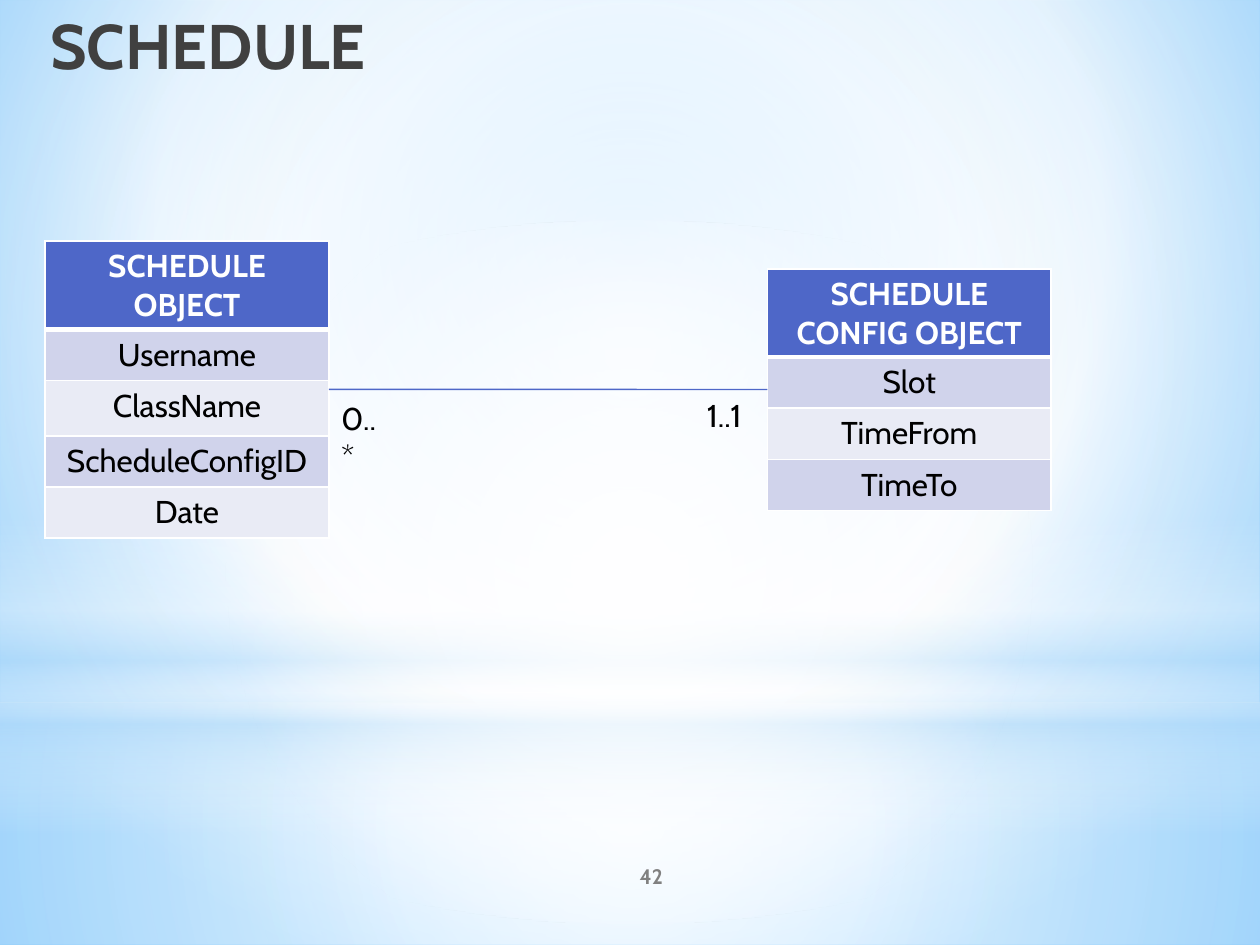
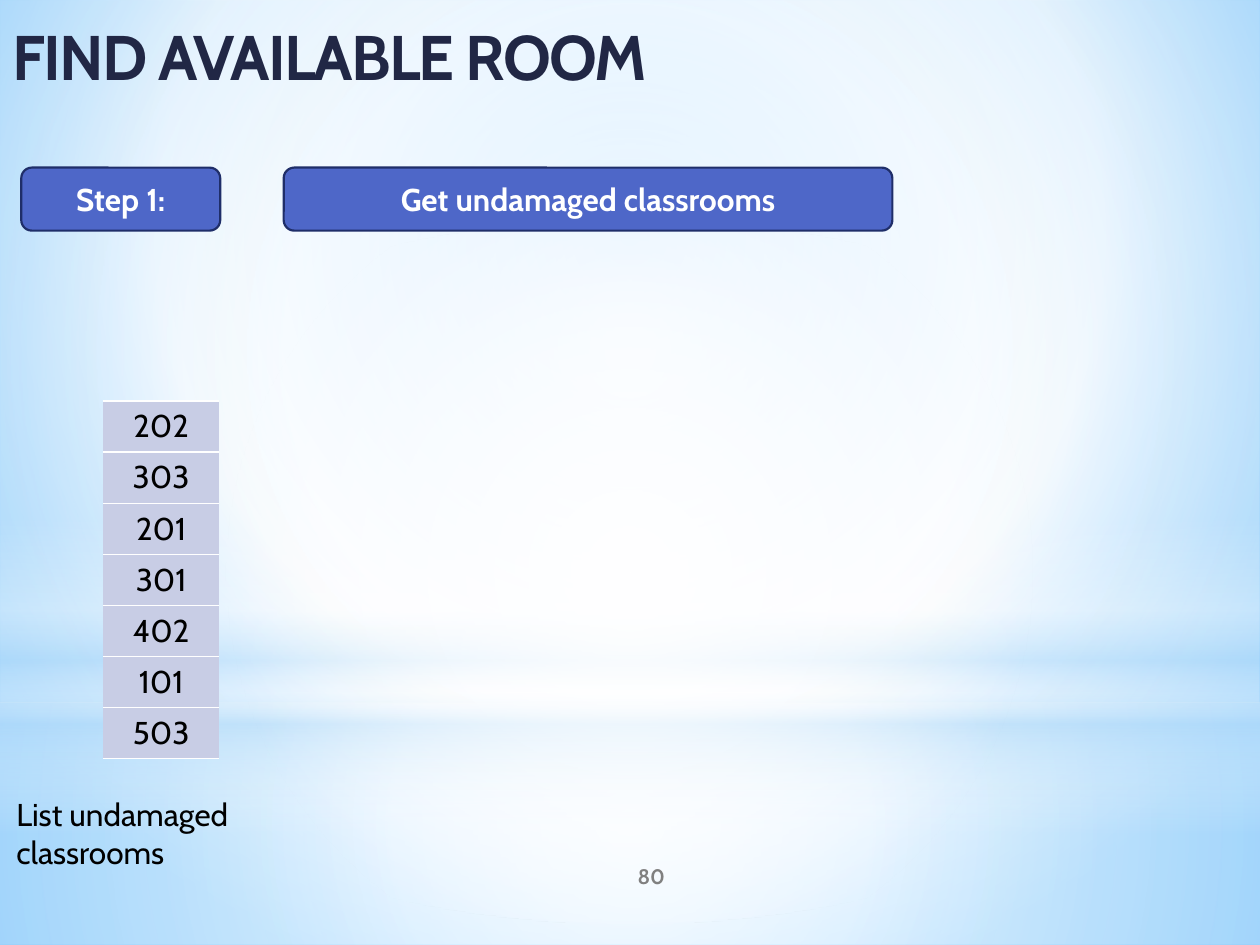
from lxml import etree
from pptx import Presentation
from pptx.dml.color import RGBColor
from pptx.enum.shapes import MSO_CONNECTOR, MSO_SHAPE
from pptx.enum.text import MSO_ANCHOR, PP_ALIGN
from pptx.oxml import parse_xml
from pptx.oxml.ns import qn
from pptx.util import Cm, Pt

RECT, OVAL, ROUND = MSO_SHAPE.RECTANGLE, MSO_SHAPE.OVAL, MSO_SHAPE.ROUNDED_RECTANGLE
LEFT, MID, RIGHT = PP_ALIGN.LEFT, PP_ALIGN.CENTER, PP_ALIGN.RIGHT
TOP, MIDDLE = MSO_ANCHOR.TOP, MSO_ANCHOR.MIDDLE

BLUE = RGBColor(0x4E, 0x67, 0xC8)
EDGE = RGBColor(0x1F, 0x2E, 0x69)
NAVY = RGBColor(0x21, 0x27, 0x45)
DARK = RGBColor(0x40, 0x40, 0x40)
GREY = RGBColor(0x80, 0x80, 0x80)
BLACK = RGBColor(0, 0, 0)
WHITE = RGBColor(0xFF, 0xFF, 0xFF)
BAND = RGBColor(0xD0, 0xD3, 0xEB)
PALE = RGBColor(0xE9, 0xEB, 0xF5)
LILAC = RGBColor(0xC8, 0xCD, 0xE5)
SKY = RGBColor(0xB4, 0xDC, 0xFA)
AZURE = RGBColor(0x9E, 0xD5, 0xFF)
DEEP = RGBColor(0x5B, 0xB9, 0xFF)

BODY = {"size": Pt(18), "name": "Cabin", "bold": False}
STRONG = {**BODY, "bold": True}
TITLE = {**STRONG, "size": Pt(36)}
SMALL = {**STRONG, "size": Pt(12)}
NS = 'xmlns:a="http://schemas.openxmlformats.org/drawingml/2006/main"'


def write(frame, words, look, tint, align=LEFT, anchor=TOP, wrap=True):
    """Put one formatted line of text into a text frame."""
    frame.word_wrap = wrap
    frame.vertical_anchor = anchor
    para = frame.paragraphs[0]
    para.alignment = align
    run = para.add_run()
    run.text = words
    for key, value in look.items():
        setattr(run.font, key, value)
    run.font.color.rgb = tint
    return run


def blend(old, stops, focus=None):
    """Swap a fill element for a gradient: radial with a focus, else downward."""
    marks = "".join(
        f'<a:gs pos="{pos * 1000}"><a:srgbClr val="{tint}">'
        f'<a:alpha val="{alpha * 1000}"/></a:srgbClr></a:gs>'
        for pos, tint, alpha in stops)
    way = '<a:lin ang="5400000" scaled="0"/>'
    if focus:
        edges = " ".join(f'{side}="{part * 1000}"' for side, part in zip("ltrb", focus))
        way = f'<a:path path="circle"><a:fillToRect {edges}/></a:path>'
    fill = parse_xml(f'<a:gradFill {NS} rotWithShape="1"><a:gsLst>{marks}</a:gsLst>{way}</a:gradFill>')
    old.getparent().replace(old, fill)


deck = Presentation()
deck.slide_width, deck.slide_height = Cm(25.4), Cm(19.05)
blank = deck.slide_layouts[6]
plan = deck.slides.add_slide(blank)
rooms = deck.slides.add_slide(blank)

# Shared backdrop, moved into the layout
back = blank.background.fill
back.solid()
blend(blank.element.find(".//" + qn("p:bgPr")).find(qn("a:solidFill")),
      [(0, AZURE, 100), (60, WHITE, 100), (100, DEEP, 100)], (20, 10, 20, 60))
core = (50, 50, 50, 50)
layers = [
    (RECT, 14.17, 4.88, [(0, WHITE, 91), (37, WHITE, 76), (100, SKY, 79)], core),
    (RECT, 0, 14.17, [(0, WHITE, 89), (48, WHITE, 62), (100, SKY, 79)], core),
    (RECT, 10.46, 6.35, [(0, WHITE, 0), (29, WHITE, 30), (45, SKY, 40),
                         (55, WHITE, 26), (65, SKY, 60), (100, WHITE, 0)], None),
    (OVAL, 4.45, 14.17, [(0, WHITE, 100), (56, WHITE, 0)], core),
]
for kind, top, high, stops, focus in layers:
    layer = plan.shapes.add_shape(kind, 0, Cm(top), deck.slide_width, Cm(high))
    layer.shadow.inherit = False
    layer.line.fill.background()
    layer.fill.solid()
    blend(layer.element.spPr.find(qn("a:solidFill")), stops, focus)
    blank.element.cSld.spTree.append(layer.element)

# Titles and page numbers
heads = [
    (plan, "SCHEDULE", 7.62, DARK, RIGHT, TOP, 0, "42"),
    (rooms, "FIND AVAILABLE ROOM", 13.54, NAVY, LEFT, MIDDLE, -100, "80"),
]
for page, words, wide, tint, align, anchor, space, number in heads:
    box = page.shapes.add_textbox(0, 0, Cm(wide), Cm(2.24))
    run = write(box.text_frame, words, TITLE, tint, align, anchor)
    run.font.fill.solid()
    run.font.color.rgb = tint
    if space:
        run._r.get_or_add_rPr().set("spc", str(space))
    box = page.shapes.add_textbox(Cm(10.59), Cm(17.15), Cm(5.08), Cm(1.02))
    write(box.text_frame, number, SMALL, GREY, MID, MIDDLE)

# Tables, each centred on a height
ROW, HEAD = 1.03, 1.77
grids = [
    (plan, 0.91, 7.85, 5.72, "SCHEDULE OBJECT",
     ["Username", "ClassName", "ScheduleConfigID", "Date"], {"ClassName": 1.12}, [BAND, PALE], "LRTB"),
    (plan, 15.47, 7.85, 5.72, "SCHEDULE CONFIG OBJECT",
     ["Slot", "TimeFrom", "TimeTo"], {}, [BAND, PALE], "LRTB"),
    (rooms, 2.08, 11.69, 2.34, None,
     ["202", "303", "201", "301", "402", "101", "503"], {}, [LILAC], "TB"),
]
frames = []
for page, left, centre, wide, head, names, extra, fills, sides in grids:
    rows = [(name, extra.get(name, ROW), BODY, BLACK, fills[i % len(fills)])
            for i, name in enumerate(names)]
    if head:
        rows.insert(0, (head, HEAD, STRONG, WHITE, BLUE))
    total = sum(row[1] for row in rows)
    frame = page.shapes.add_table(len(rows), 1, Cm(left), Cm(centre - total / 2), Cm(wide), Cm(total))
    frames.append(frame)
    table = frame.table
    table.first_row = bool(head)
    table.horz_banding = False
    for i, (name, high, look, tint, fill) in enumerate(rows):
        table.rows[i].height = Cm(high)
        cell = table.cell(i, 0)
        write(cell.text_frame, name, look, tint, MID)
        props = cell._tc.get_or_add_tcPr()
        for side in "LRTB":
            thick = head and (i, side) in [(0, "B"), (1, "T")]
            line = etree.SubElement(props, qn("a:ln" + side), w=str(Pt(3 if thick else 1)))
            if side in sides:
                paint = etree.SubElement(line, qn("a:solidFill"))
                etree.SubElement(paint, qn("a:srgbClr"), val=str(WHITE))
            else:
                etree.SubElement(line, qn("a:noFill"))
        cell.fill.solid()
        cell.fill.fore_color.rgb = fill

# Link between the two objects
link = plan.shapes.add_connector(MSO_CONNECTOR.STRAIGHT, Cm(6.63), Cm(7.85), Cm(15.47), Cm(7.85))
link.begin_connect(frames[0], 3)
link.end_connect(frames[1], 1)
link.line.color.rgb = BLUE
link.line.width = Pt(0.75)
etree.SubElement(link.element.spPr, qn("a:effectLst"))

# Link ends and list caption
notes = [
    (plan, "0..*", 6.63, 7.92, 1.47, False),
    (plan, "1..1", 14, 7.85, 1.47, False),
    (rooms, "List undamaged classrooms", 0.08, 15.9, 7.65, True),
]
for page, words, left, top, wide, wrap in notes:
    box = page.shapes.add_textbox(Cm(left), Cm(top), Cm(wide), Cm(1.02))
    write(box.text_frame, words, BODY, BLACK, wrap=wrap)

# Step banner
for words, left, wide in [("Step 1:", 0.43, 4.01), ("Get undamaged classrooms", 5.72, 12.27)]:
    box = rooms.shapes.add_shape(ROUND, Cm(left), Cm(3.38), Cm(wide), Cm(1.27))
    box.shadow.inherit = False
    box.fill.solid()
    box.fill.fore_color.rgb = BLUE
    box.line.color.rgb = EDGE
    box.line.width = Pt(1.25)
    write(box.text_frame, words, STRONG, WHITE, MID, MIDDLE)

deck.save("out.pptx")
